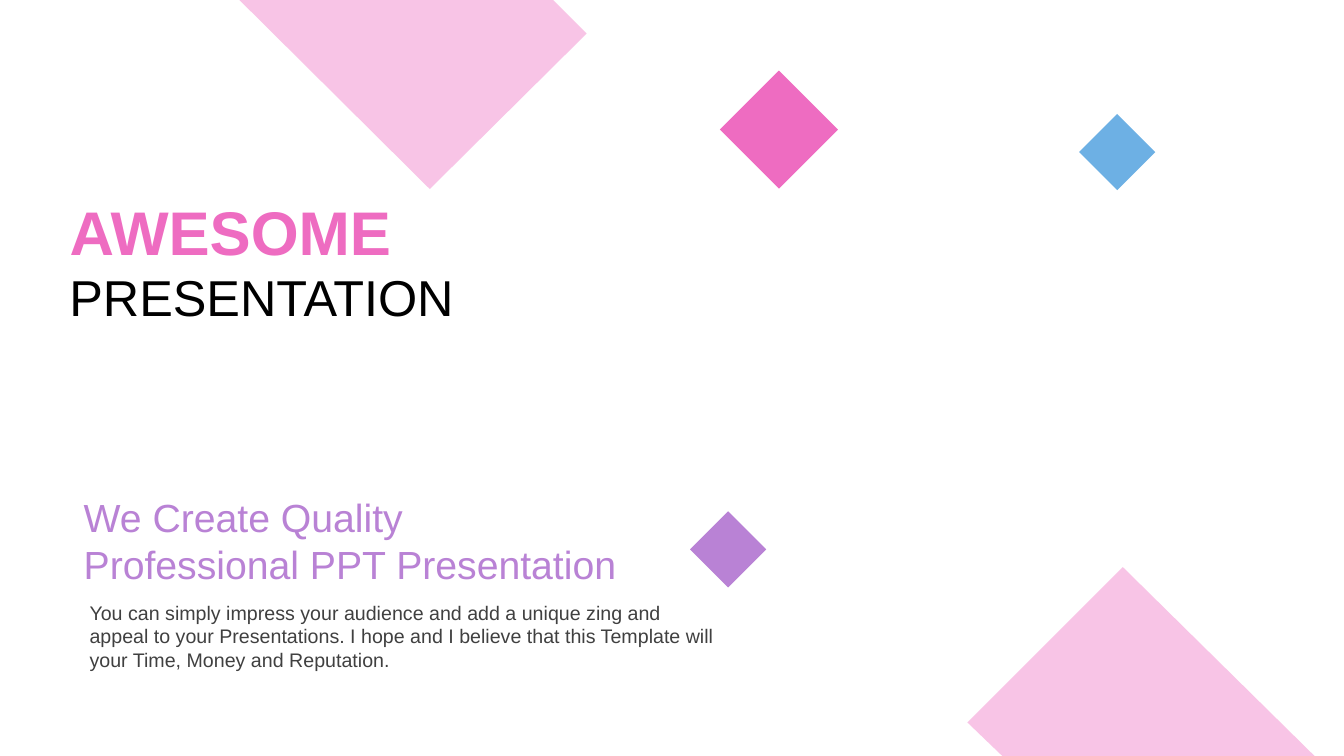
from pptx import Presentation
from pptx.dml.color import RGBColor
from pptx.enum.shapes import MSO_SHAPE as Shape
from pptx.enum.text import MSO_ANCHOR as Anchor, MSO_AUTO_SIZE as AutoSize, PP_ALIGN as Align
from pptx.oxml.ns import qn
from pptx.util import Pt
from lxml.etree import SubElement

PINK, PURPLE, BLUE = "EE6CC1", "B982D5", "6DB0E4"
BLACK, GREY = "000000", "404040"


def paint(shape, color):
    shape.shadow.inherit = False
    shape.fill.solid()
    shape.fill.fore_color.rgb = RGBColor.from_string(color)
    shape.line.fill.background()


def write(box, area, lines, size, color, anchor=Anchor.MIDDLE, bold=False):
    """Place a text box or placeholder and fill it with one paragraph per line."""
    box.left, box.top, box.width, box.height = (Pt(length) for length in area)
    frame = box.text_frame
    frame.text = "\n".join(lines)
    frame.word_wrap = True
    frame.auto_size = AutoSize.NONE
    frame.vertical_anchor = anchor
    for para in frame.paragraphs:
        para.alignment = Align.LEFT
        para.space_before = Pt(0)
        for span in para.runs:
            span.font.name = "Arial"
            span.font.size = Pt(size)
            span.font.bold = bold
            span.font.color.rgb = RGBColor.from_string(color)


deck = Presentation()
deck.slide_width, deck.slide_height = Pt(960), Pt(540)
page = deck.slides.add_slide(deck.slide_layouts[0])
title, subtitle = page.placeholders
shapes = page.shapes

# Large translucent diamonds cut off by the slide edges
cut_diamonds = [
    [(170.6, 0), (395.3, 0), (419, 23.8), (307.4, 135)],
    [(802.1, 404.6), (939, 540), (715.7, 540), (691.2, 515.5)],
]
for corners in cut_diamonds:
    builder = shapes.build_freeform(*corners[0], scale=Pt(1))
    builder.add_line_segments(corners[1:], close=True)
    diamond = builder.convert_to_shape()
    paint(diamond, PINK)
    tint = diamond.fill._xPr.find(qn("a:solidFill"))[0]
    SubElement(tint, qn("a:alpha"), val="40000")

# Small solid diamonds: left, top, side, color
for left, top, side, color in [
    (514.3, 50.4, 84.3, PINK),
    (492.9, 365.2, 54.4, PURPLE),
    (770.8, 81.4, 54.4, BLUE),
]:
    diamond = shapes.add_shape(Shape.DIAMOND, Pt(left), Pt(top), Pt(side), Pt(side))
    paint(diamond, color)

write(title, (42.5, 134.6, 301, 60.5), ["AWESOME"], 44, PINK, bold=True)

second_title = shapes.add_textbox(0, 0, 0, 0)
write(second_title, (42.5, 186.5, 301, 51), ["PRESENTATION"], 36, BLACK)

slogan = ["We Create Quality", "Professional PPT Presentation"]
write(subtitle, (56.9, 352, 410.4, 67.7), slogan, 28, PURPLE)
margins = subtitle.text_frame
margins.margin_left = margins.margin_right = Pt(2.88)
margins.margin_top = margins.margin_bottom = 0

summary = (
    "You can simply impress your audience and add a unique zing and appeal to your "
    "Presentations. I hope and I believe that this Template will your Time, Money and Reputation."
)
summary_box = shapes.add_textbox(0, 0, 0, 0)
write(summary_box, (56.9, 425.5, 463.7, 58.3), [summary], 14, GREY, Anchor.TOP)

deck.save("out.pptx")
